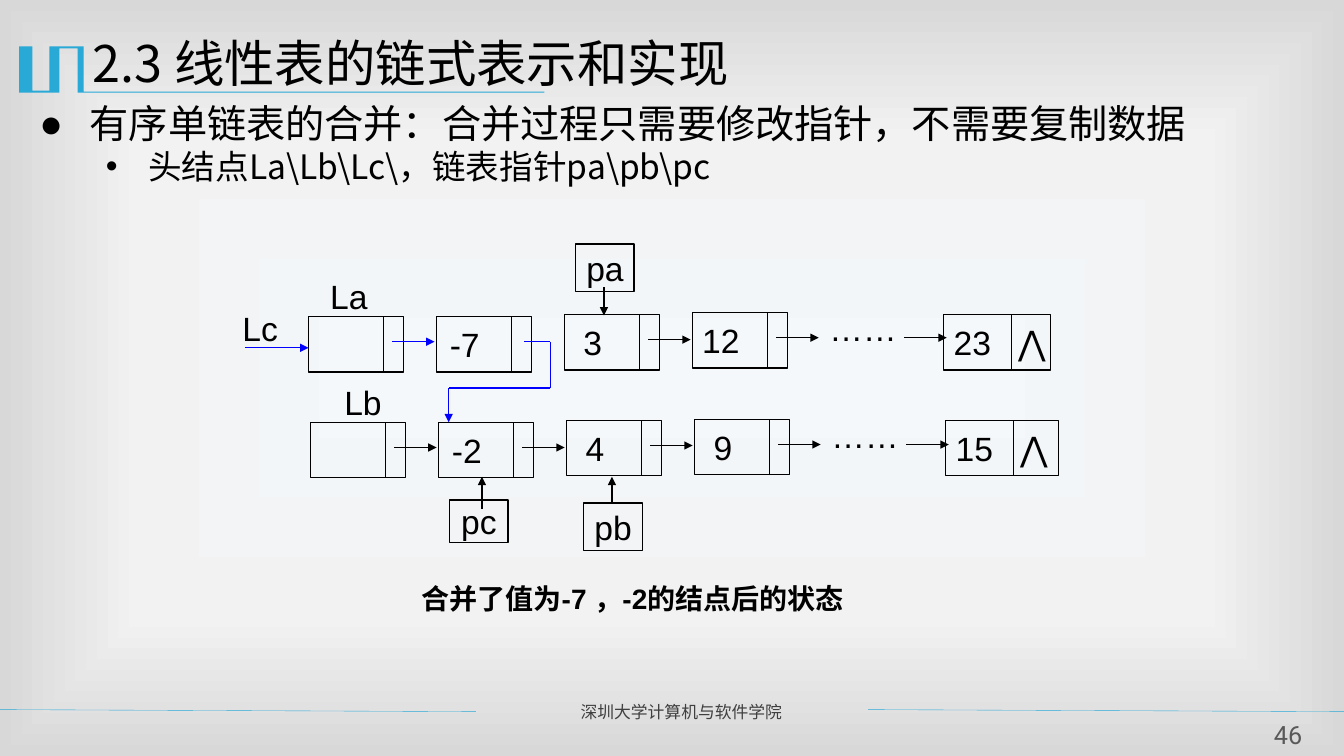
from dataclasses import dataclass
from itertools import pairwise
from typing import Optional

from lxml import etree
from pptx import Presentation, util as u
from pptx.dml.color import RGBColor
from pptx.enum import shapes, text
from pptx.oxml.ns import qn

CELL = u.Inches(0.1)
COLUMNS, ROWS = 133.3, 75


@dataclass(frozen=True)
class Theme:
    ink: str = "000000"
    accent: str = "28A9D6"
    merged: str = "0000FF"
    footer: str = "3F3F3F"
    number: str = "595959"
    backdrop: tuple = ((0, "F4F8FB"), (63, "F2F2F2"), (100, "D8D8D8"))
    heading_font: str = "Noto Sans CJK SC"
    diagram_font: str = "Arial"
    footer_font: str = "Roboto"
    title_size: int = 36
    topic_size: int = 28
    detail_size: int = 24
    caption_size: int = 20
    number_size: int = 18
    footer_size: int = 12


@dataclass(frozen=True)
class Box:
    left: float
    top: float
    width: float
    height: float

    def emu(self) -> tuple:
        return tuple(cells(v) for v in (self.left, self.top, self.width, self.height))


@dataclass(frozen=True)
class Node:
    column: int
    lift: float
    value: str = ""
    next_color: Optional[str] = None
    dots: bool = False


@dataclass(frozen=True)
class Chain:
    left: float
    top: float
    nodes: tuple
    last_value: str
    last_width: float


@dataclass(frozen=True)
class Pointer:
    name: str
    box: Box
    start: tuple
    end: tuple


THEME = Theme()
PITCH, NODE_WIDTH, NODE_HEIGHT = 12.7, 9.4, 5.5
DATA_WIDTH, LAST_DATA_WIDTH = 7.45, 6.7
LAST_COLUMN_LEFT = 63

CHAINS = (
    Chain(30.6, 31.4, (
        Node(0, 0, next_color=THEME.merged),
        Node(1, 0, "-7"),
        Node(2, 0.2, "3", THEME.ink),
        Node(3, 0.4, "12", THEME.ink),
        Node(4, 0.4, "……", THEME.ink, dots=True)), "23", 10.6),
    Chain(30.8, 41.9, (
        Node(0, 0, next_color=THEME.ink),
        Node(1, 0, "-2", THEME.ink),
        Node(2, 0.2, "4", THEME.ink),
        Node(3, 0.3, "9", THEME.ink),
        Node(4, 0.3, "……", THEME.ink, dots=True)), "15", 11.2),
)
POINTERS = (
    Pointer("pa", Box(57.1, 24.2, 5.8, 4.7), (59.9, 28.5), (59.9, 31.3)),
    Pointer("pb", Box(57.9, 49.9, 5.8, 4.7), (60.7, 50), (60.7, 47.3)),
    Pointer("pc", Box(44.6, 49.6, 5.8, 4.2), (47.8, 50.5), (47.8, 47.3)),
)
HEAD_NAMES = {
    "La": Box(31.2, 26.9, 6.8, 5),
    "Lb": Box(31.4, 37.4, 9.2, 5),
    "Lc": Box(22.9, 30.4, 5.8, 4.2),
}
MERGE_ROUTE = ((52, 33.9), (54.6, 33.9), (54.6, 38.5), (44.5, 38.5), (44.5, 41.9))
EMBLEM = (
    (8.2, 4.6), (8.3, 4.6), (8.3, 9.1), (54, 9.1), (54, 9.2), (7.7, 9.2),
    (7.7, 4.8), (5.9, 4.8), (5.9, 9.2), (1.9, 9.2), (1.9, 4.6), (3.2, 4.6),
    (3.2, 9), (4.9, 9), (4.9, 4.6),
)


def cells(count: float) -> int:
    return round(count * CELL)


def rgb(value: str) -> RGBColor:
    return RGBColor.from_string(value)


def style(paragraph, size: int, font: str, color: str, bold: bool = False) -> None:
    for run in paragraph.runs:
        run.font.size, run.font.name, run.font.bold = u.Pt(size), font, bold
        run.font.color.rgb = rgb(color)
        east_asian = etree.SubElement(run.font._element, qn("a:ea"))
        east_asian.set("typeface", THEME.heading_font)


def write(shape, words: str, size: int = THEME.detail_size, font: str = THEME.diagram_font,
          color: str = THEME.ink, bold: bool = False, align=text.PP_ALIGN.CENTER,
          wrap: bool = False, insets: tuple = (0, 0)) -> None:
    frame = shape.text_frame
    frame.text = words
    frame.word_wrap = wrap
    frame.vertical_anchor = text.MSO_ANCHOR.MIDDLE
    frame.margin_left, frame.margin_right = (cells(inset) for inset in insets)
    frame.margin_top = frame.margin_bottom = 0
    frame.paragraphs[0].alignment = align
    style(frame.paragraphs[0], size, font, color, bold)


def label(slide, box: Box, words: str, **options) -> None:
    write(slide.shapes.add_textbox(*box.emu()), words, **options)


def frame_box(slide, box: Box):
    outline = slide.shapes.add_shape(shapes.MSO_SHAPE.RECTANGLE, *box.emu())
    outline.shadow.inherit = False
    outline.fill.background()
    outline.line.color.rgb = rgb(THEME.ink)
    outline.line.width = u.Pt(1)
    return outline


def link(slide, start: tuple, end: tuple, color: str = THEME.ink,
         width: float = 1, arrow: bool = False) -> None:
    line = slide.shapes.add_connector(
        shapes.MSO_CONNECTOR.STRAIGHT, *(cells(v) for v in start + end))
    line.line.color.rgb = rgb(color)
    line.line.width = u.Pt(width)
    properties = line.element.spPr
    if arrow:
        etree.SubElement(properties.find(qn("a:ln")), qn("a:tailEnd")).set("type", "triangle")
    etree.SubElement(properties, qn("a:effectLst"))


def draw_chain(slide, chain: Chain) -> None:
    for node in chain.nodes:
        left, top = chain.left + node.column * PITCH, chain.top - node.lift
        if node.dots:
            label(slide, Box(left + 0.4, top - 1.2, 7.6, NODE_HEIGHT), node.value)
        else:
            cell = frame_box(slide, Box(left, top, NODE_WIDTH, NODE_HEIGHT))
            if node.value:
                write(cell, node.value, insets=(0, 3.8))
            split = left + DATA_WIDTH
            link(slide, (split, top), (split, top + NODE_HEIGHT))
        if node.next_color:
            link(slide, (left + 8.3, top + 2.5), (left + 12.5, top + 2.5),
                 node.next_color, arrow=True)
    left, top = chain.left + LAST_COLUMN_LEFT, chain.top - 0.2
    last = frame_box(slide, Box(left, top, chain.last_width, NODE_HEIGHT))
    write(last, f"{chain.last_value}\t⋀", align=text.PP_ALIGN.LEFT, wrap=True, insets=(1, 0))
    tabs = etree.SubElement(last.text_frame.paragraphs[0]._p.get_or_add_pPr(), qn("a:tabLst"))
    etree.SubElement(tabs, qn("a:tab"), pos=str(cells(6.4)), algn="l")
    split = left + LAST_DATA_WIDTH
    link(slide, (split, top), (split, top + NODE_HEIGHT))


def draw_backdrop(slide) -> None:
    slide.background.fill.gradient()
    gradient = slide.element.find(".//" + qn("a:gradFill"))
    for child in list(gradient):
        gradient.remove(child)
    stops = etree.SubElement(gradient, qn("a:gsLst"))
    for share, color in THEME.backdrop:
        stop = etree.SubElement(stops, qn("a:gs"), pos=str(share * 1000))
        etree.SubElement(stop, qn("a:srgbClr"), val=color)
    shade = etree.SubElement(gradient, qn("a:path"), path="rect")
    etree.SubElement(shade, qn("a:fillToRect"), l="50000", t="50000", r="50000", b="50000")
    first, *rest = [(cells(x), cells(y)) for x, y in EMBLEM]
    builder = slide.shapes.build_freeform(*first)
    builder.add_line_segments(rest, close=True)
    emblem = builder.convert_to_shape()
    emblem.shadow.inherit = False
    emblem.fill.solid()
    emblem.fill.fore_color.rgb = rgb(THEME.accent)
    emblem.line.fill.background()
    for left, right in ((0, 47.2), (86.1, COLUMNS)):
        link(slide, (left, 70.4), (right, 70.6), THEME.accent, 0.25)
    label(slide, Box(56.6, 69.1, 28.5, 3), "深圳大学计算机与软件学院", size=THEME.footer_size,
          font=THEME.footer_font, color=THEME.footer, align=text.PP_ALIGN.JUSTIFY,
          wrap=True, insets=(1, 1))
    label(slide, Box(124.8, 71.3, 5.9, 3.1), "46", size=THEME.number_size,
          font=THEME.footer_font, color=THEME.number)


def place(holder, box: Box) -> None:
    holder.left, holder.top, holder.width, holder.height = box.emu()
    holder.text_frame.auto_size = text.MSO_AUTO_SIZE.NONE


def fill_placeholders(slide) -> None:
    title, body = slide.shapes.title, slide.placeholders[1]
    place(title, Box(8.2, 2.4, 120, 8.7))
    write(title, "2.3 线性表的链式表示和实现", size=THEME.title_size, font=THEME.heading_font,
          align=text.PP_ALIGN.LEFT, wrap=True, insets=(1, 1))
    title.text_frame.paragraphs[0].line_spacing = 0.8
    place(body, Box(2.9, 9.9, 121.3, 56.3))
    body.text_frame.text = ("有序单链表的合并：合并过程只需要修改指针，不需要复制数据\n"
                            "头结点La\\Lb\\Lc\\，链表指针pa\\pb\\pc")
    levels = ((THEME.topic_size, 5, 5, "●"), (THEME.detail_size, 10.8, 4.2, "•"))
    for level, (point, (size, margin, hang, bullet)) in enumerate(
            zip(body.text_frame.paragraphs, levels)):
        point.level = level
        point.line_spacing, point.space_before = 0.9, u.Pt(2 * level)
        properties = point._p.get_or_add_pPr()
        properties.set("marL", str(cells(margin)))
        properties.set("indent", str(-cells(hang)))
        etree.SubElement(properties, qn("a:buChar"), char=bullet)
        style(point, size, THEME.heading_font, THEME.ink)


def main() -> None:
    deck = Presentation()
    deck.slide_width, deck.slide_height = cells(COLUMNS), cells(ROWS)
    slide = deck.slides.add_slide(deck.slide_layouts[1])
    draw_backdrop(slide)
    fill_placeholders(slide)
    for chain in CHAINS:
        draw_chain(slide, chain)
    for pointer in POINTERS:
        write(frame_box(slide, pointer.box), pointer.name)
        link(slide, pointer.start, pointer.end, arrow=True)
    for name, box in HEAD_NAMES.items():
        label(slide, box, name)
    link(slide, (24.3, 34.5), (30.6, 34.5), THEME.merged, arrow=True)
    for start, end in pairwise(MERGE_ROUTE):
        link(slide, start, end, THEME.merged, arrow=end == MERGE_ROUTE[-1])
    label(slide, Box(33.6, 57, 58.3, 4.7), "合并了值为-7 ，-2的结点后的状态",
          size=THEME.caption_size, bold=True, wrap=True, insets=(1, 1))
    deck.save("out.pptx")


if __name__ == "__main__":
    main()
